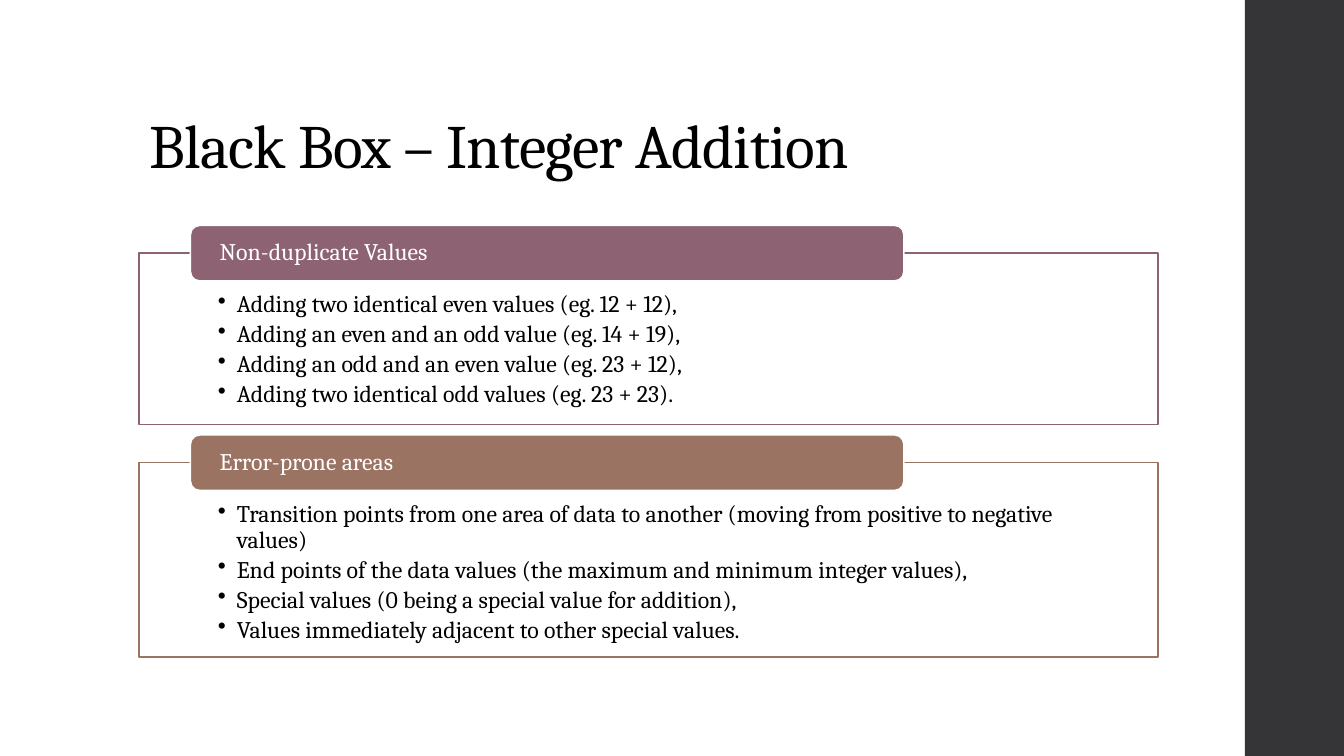
from lxml import etree
from pptx import Presentation
from pptx.dml.color import RGBColor
from pptx.enum.shapes import MSO_SHAPE
from pptx.enum.text import MSO_ANCHOR, PP_ALIGN
from pptx.oxml.ns import qn
from pptx.util import Cm, Pt

RECTANGLE = MSO_SHAPE.RECTANGLE
ROUNDED = MSO_SHAPE.ROUNDED_RECTANGLE
TOP, MIDDLE, BOTTOM = MSO_ANCHOR.TOP, MSO_ANCHOR.MIDDLE, MSO_ANCHOR.BOTTOM
LEFT = PP_ALIGN.LEFT

TITLE = "Black Box – Integer Addition"
SECTIONS = [
    {
        "heading": "Non-duplicate Values",
        "color": "plum",
        "top": 6.38,
        "height": 4.32,
        "points": [
            "Adding two identical even values (eg. 12 + 12),",
            "Adding an even and an odd value (eg. 14 + 19),",
            "Adding an odd and an even value (eg. 23 + 12),",
            "Adding two identical odd values (eg. 23 + 23).",
        ],
    },
    {
        "heading": "Error-prone areas",
        "color": "brown",
        "top": 11.66,
        "height": 4.9,
        "points": [
            "Transition points from one area of data to another "
            "(moving from positive to negative values)",
            "End points of the data values (the maximum and minimum integer values),",
            "Special values (0 being a special value for addition),",
            "Values immediately adjacent to other special values.",
        ],
    },
]

COLORS = {
    "black": "000000",
    "white": "FFFFFF",
    "charcoal": "353537",
    "plum": "8D6374",
    "brown": "9B7362",
}
FONT = "Cambria"
BODY_SIZE = 17

# Lengths in centimetres
SLIDE_WIDTH, SLIDE_HEIGHT = 33.87, 19.05
SIDEBAR_LEFT = 31.37
TITLE_BOX = (3.51, 1.02, 26.92, 3.68)
FRAME_LEFT, FRAME_WIDTH = 3.51, 25.68
FRAME_MARGINS = (1.98, 0.99, 1.98, 0.33)
TAB_LEFT, TAB_WIDTH, TAB_HEIGHT = 4.8, 17.98, 1.4
TAB_MARGINS = (0.67, 0, 0.67, 0)
BULLET_INDENT = 0.48


def rgb(name):
    return RGBColor.from_string(COLORS[name])


def set_attributes(target, values):
    for name, value in values.items():
        setattr(target, name, value)


def add_box(slide, kind, box, fill, line=None):
    shape = slide.shapes.add_shape(kind, *map(Cm, box))
    shape.shadow.inherit = False
    shape.fill.solid()
    shape.fill.fore_color.rgb = rgb(fill)
    if line:
        shape.line.color.rgb = rgb(line)
        shape.line.width = Pt(1.1)
    else:
        shape.line.fill.background()
    return shape


def write_text(shape, lines, color, anchor, size=BODY_SIZE, margins=None):
    frame = shape.text_frame
    frame.text = "\n".join(lines)
    set_attributes(frame, {"word_wrap": True, "vertical_anchor": anchor})
    if margins:
        sides = ("margin_left", "margin_top", "margin_right", "margin_bottom")
        set_attributes(frame, dict(zip(sides, map(Cm, margins))))
    for paragraph in frame.paragraphs:
        set_attributes(paragraph, {"alignment": LEFT, "line_spacing": 0.9})
        font = paragraph.runs[0].font
        set_attributes(font, {"name": FONT, "size": Pt(size)})
        font.color.rgb = rgb(color)
    return frame.paragraphs


def add_bullet(paragraph):
    set_attributes(paragraph, {"level": 1, "space_after": Pt(3)})
    properties = paragraph._p.get_or_add_pPr()
    properties.set("marL", str(Cm(BULLET_INDENT)))
    properties.set("indent", str(-Cm(BULLET_INDENT)))
    etree.SubElement(properties, qn("a:buChar")).set("char", "•")


def set_opacity(shape, percent):
    color = shape.fill._xPr.find(qn("a:solidFill"))[0]
    etree.SubElement(color, qn("a:alpha")).set("val", str(percent * 1000))


def add_section(slide, section):
    top, color = section["top"], section["color"]
    frame_box = (FRAME_LEFT, top, FRAME_WIDTH, section["height"])
    frame = add_box(slide, RECTANGLE, frame_box, "white", color)
    set_opacity(frame, 90)
    points = write_text(frame, section["points"], "black", TOP, margins=FRAME_MARGINS)
    for paragraph in points:
        add_bullet(paragraph)

    # The heading tab straddles the top edge of its frame
    tab_box = (TAB_LEFT, top - TAB_HEIGHT / 2, TAB_WIDTH, TAB_HEIGHT)
    tab = add_box(slide, ROUNDED, tab_box, color, "white")
    write_text(tab, [section["heading"]], "white", MIDDLE, margins=TAB_MARGINS)


def add_title(slide):
    title = slide.shapes.title
    sides = ("left", "top", "width", "height")
    set_attributes(title, dict(zip(sides, map(Cm, TITLE_BOX))))
    paragraph = write_text(title, [TITLE], "black", BOTTOM, size=44)[0]
    paragraph.runs[0].font._element.set("spc", "-50")


def main():
    presentation = Presentation()
    presentation.slide_width = Cm(SLIDE_WIDTH)
    presentation.slide_height = Cm(SLIDE_HEIGHT)
    slide = presentation.slides.add_slide(presentation.slide_layouts[5])
    sidebar_box = (SIDEBAR_LEFT, 0, SLIDE_WIDTH - SIDEBAR_LEFT, SLIDE_HEIGHT)
    add_box(slide, RECTANGLE, sidebar_box, "charcoal")
    add_title(slide)
    for section in SECTIONS:
        add_section(slide, section)
    presentation.save("out.pptx")


if __name__ == "__main__":
    main()
